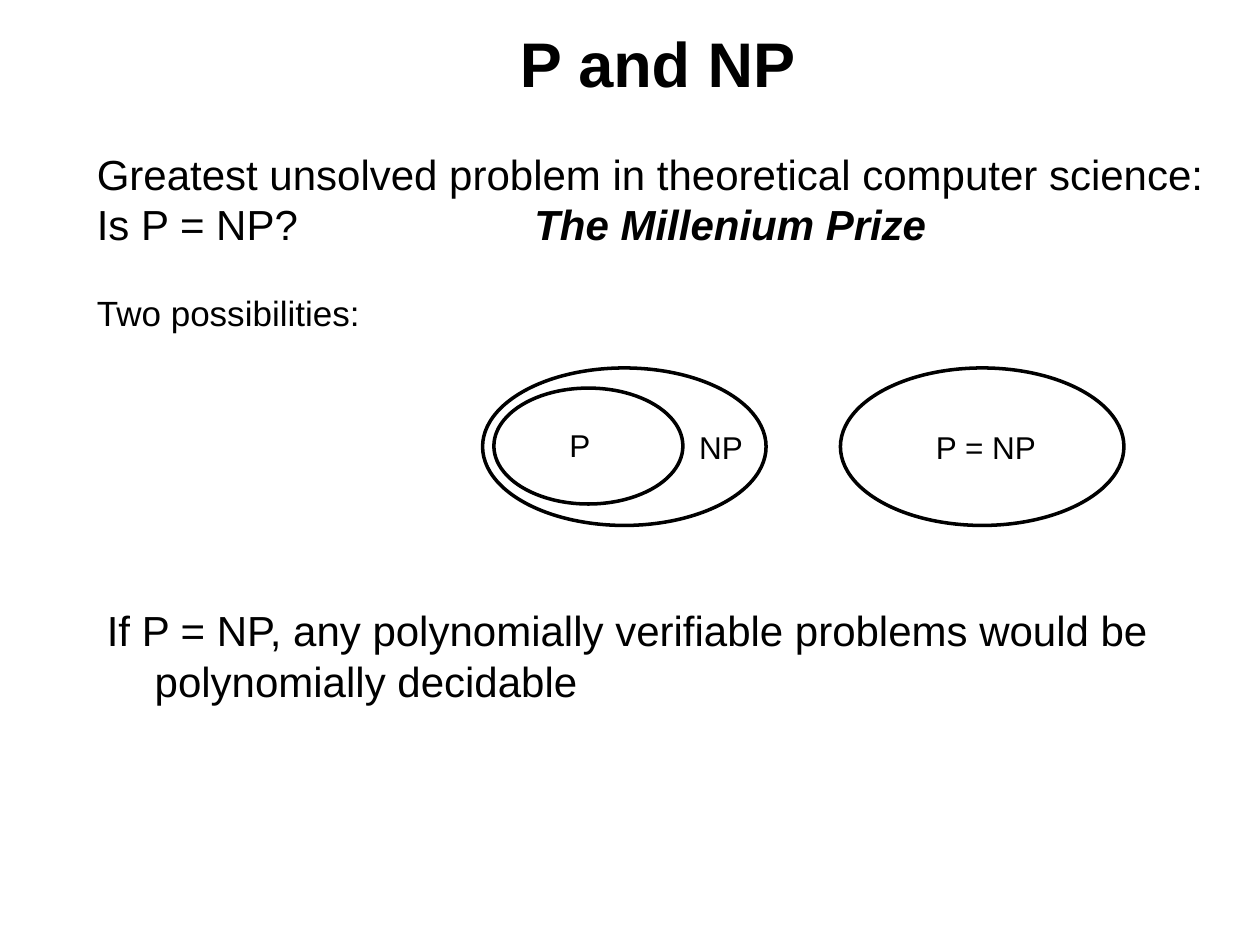
import pptx
import pptx.dml.color
import pptx.enum.shapes
import pptx.enum.text
import pptx.util

Inches, Pt = pptx.util.Inches, pptx.util.Pt
BLACK = pptx.dml.color.RGBColor(0, 0, 0)
ANCHOR = pptx.enum.text.MSO_ANCHOR
ALIGN = pptx.enum.text.PP_ALIGN
SIZE = pptx.enum.text.MSO_AUTO_SIZE
OVAL = pptx.enum.shapes.MSO_SHAPE.OVAL
HANG = Inches(0.38)


def apply(target, values):
    for name, value in values.items():
        setattr(target, name, value)


def add_box(slide, place, **frame):
    box = slide.shapes.add_textbox(*map(Inches, place))
    form = {"word_wrap": True, "auto_size": SIZE.SHAPE_TO_FIT_TEXT}
    apply(box.text_frame, form | frame)
    return box.text_frame


def add_run(para, text, size, **style):
    run = para.add_run()
    run.text = text
    apply(run.font, {"name": "Arial", "size": Pt(size)} | style)
    run.font.color.rgb = BLACK


def set_hang(para):
    props = para._p.get_or_add_pPr()
    props.set("marL", str(HANG))
    props.set("indent", str(-HANG))


def add_oval(slide, place):
    oval = slide.shapes.add_shape(OVAL, *map(Inches, place))
    oval.shadow.inherit = False
    oval.fill.background()
    oval.line.color.rgb = BLACK
    oval.line.width = Pt(2)


def add_label(slide, text, place):
    frame = add_box(slide, place, word_wrap=False)
    add_run(frame.paragraphs[0], text, 18)


def add_intro(slide):
    frame = add_box(slide, (0.67, 1.13, 9.17, 1.57))
    first, prize, cases = (frame.paragraphs[0], frame.add_paragraph(),
                           frame.add_paragraph())
    for para in (first, prize, cases):
        set_hang(para)
    add_run(first, "Greatest unsolved problem in theoretical computer science:", 24)
    # Default tab stops are half an inch apart
    add_run(prize, "Is P = NP?" + "\t" * 4 + " ", 24)
    add_run(prize, "The Millenium Prize", 24, bold=True, italic=True)
    cases.space_before = Pt(24)
    add_run(cases, "Two possibilities:", 20)


def add_title(slide):
    frame = add_box(slide, (0.58, 0.08, 9.42, 0.83), auto_size=SIZE.NONE,
                    vertical_anchor=ANCHOR.MIDDLE, margin_right=Inches(0.24))
    para = frame.paragraphs[0]
    para.alignment = ALIGN.CENTER
    add_run(para, "P and NP", 36, bold=True)


def add_result(slide):
    para = add_box(slide, (0.75, 4.75, 9.17, 0.9)).paragraphs[0]
    set_hang(para)
    add_run(para, "If P = NP, any polynomially verifiable problems "
                  "would be polynomially decidable", 24)


def main():
    deck = pptx.Presentation()
    apply(deck, {"slide_width": Inches(10), "slide_height": Inches(7.5)})
    slide = deck.slides.add_slide(deck.slide_layouts[6])

    # Opening text and title
    add_intro(slide)
    add_title(slide)

    # First case: P inside NP
    add_oval(slide, (3.83, 2.92, 2.25, 1.25))
    add_label(slide, "NP", (5.45, 3.35, 0.56, 0.4))
    add_oval(slide, (3.92, 3.08, 1.5, 0.92))
    add_label(slide, "P", (4.42, 3.33, 0.36, 0.4))

    # Second case: both sets equal
    add_label(slide, "P = NP", (7.33, 3.35, 1, 0.4))
    add_oval(slide, (6.67, 2.92, 2.25, 1.25))

    # Consequence
    add_result(slide)
    deck.save("out.pptx")


if __name__ == "__main__":
    main()
